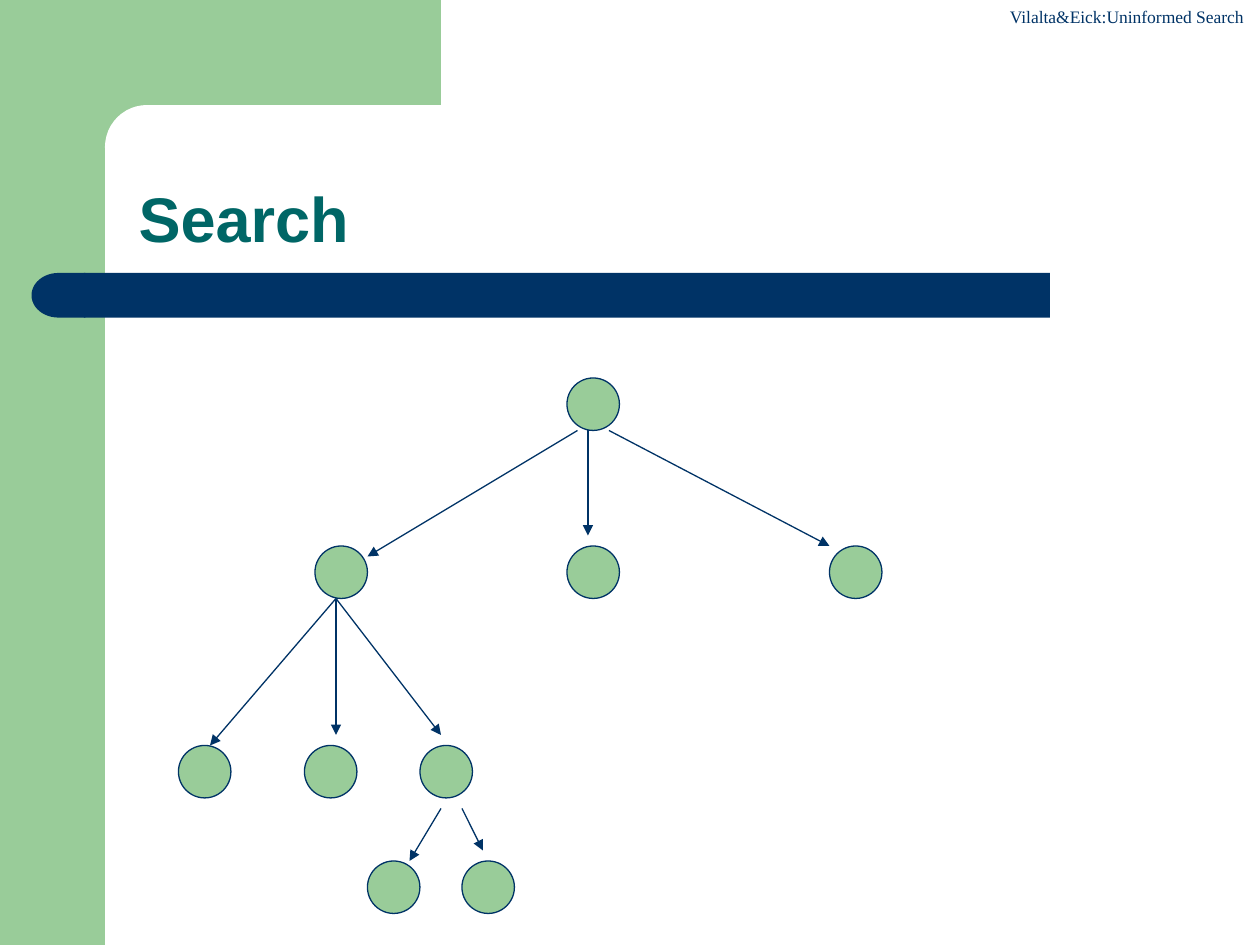
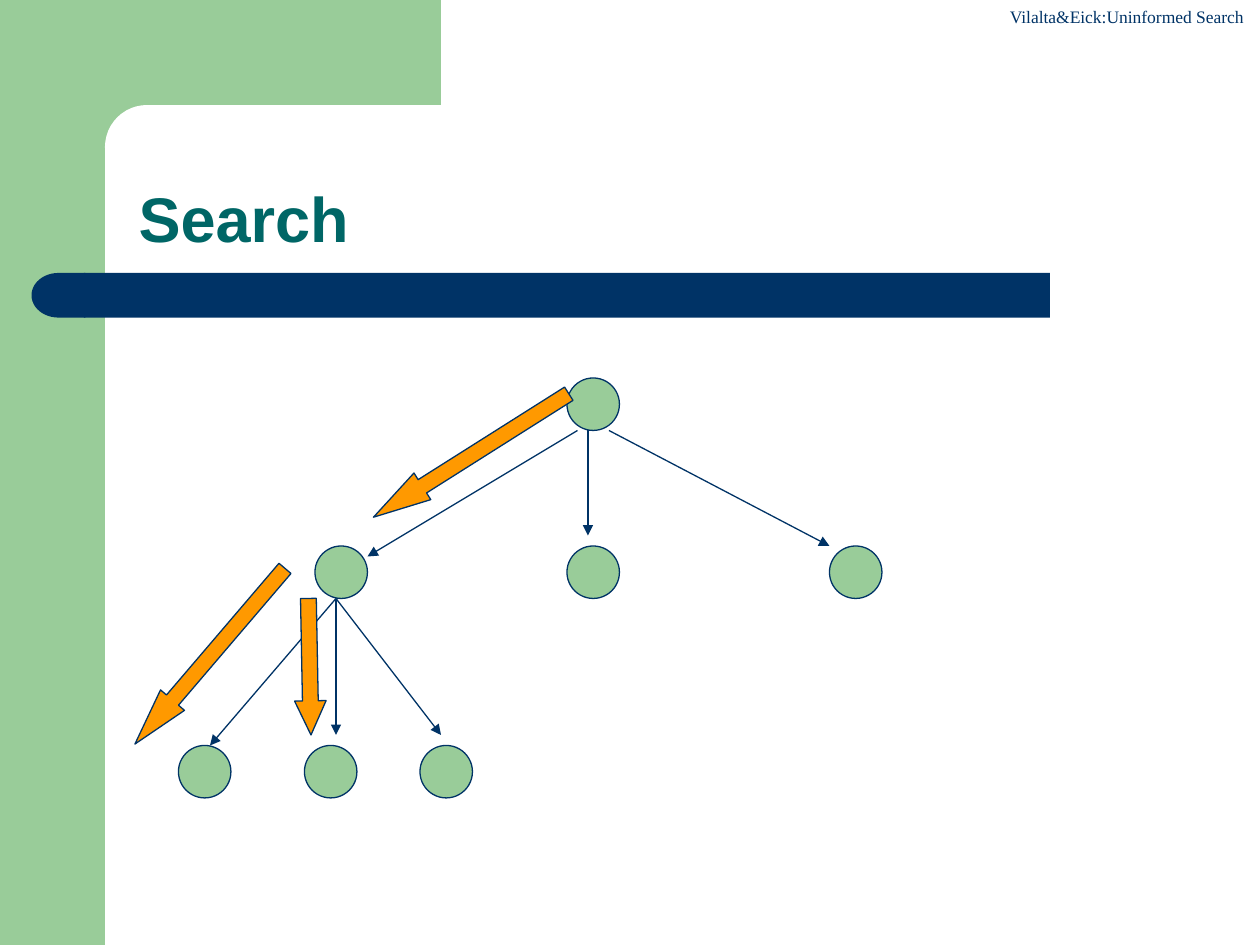
from dataclasses import dataclass
from typing import Any, NamedTuple

from lxml import etree
from pptx import Presentation
from pptx.dml.color import RGBColor
from pptx.enum.shapes import MSO_CONNECTOR, MSO_SHAPE
from pptx.enum.text import MSO_ANCHOR, MSO_AUTO_SIZE, PP_ALIGN
from pptx.oxml.ns import qn
from pptx.util import Emu, Pt

RECTANGLE = MSO_SHAPE.RECTANGLE
ROUNDED = MSO_SHAPE.ROUNDED_RECTANGLE
DELAY = MSO_SHAPE.FLOWCHART_DELAY
OVAL = MSO_SHAPE.OVAL
DOWN_ARROW = MSO_SHAPE.DOWN_ARROW
STRAIGHT = MSO_CONNECTOR.STRAIGHT
BOTTOM, LEFT, NO_FIT = MSO_ANCHOR.BOTTOM, PP_ALIGN.LEFT, MSO_AUTO_SIZE.NONE

EMU_PER_PX = 9525  # 96 px to the inch
TITLE_ONLY = 5
NODE_SIZE = 40
STEP_WIDTH = 24


@dataclass(frozen=True)
class Theme:
    green: RGBColor = RGBColor(0x99, 0xCC, 0x99)
    navy: RGBColor = RGBColor(0x00, 0x33, 0x66)
    teal: RGBColor = RGBColor(0x00, 0x66, 0x66)
    orange: RGBColor = RGBColor(0xFF, 0x99, 0x00)
    white: RGBColor = RGBColor(0xFF, 0xFF, 0xFF)
    title_font: str = "Arial"
    header_font: str = "Times New Roman"
    title_size: Pt = Pt(36)
    header_size: Pt = Pt(10)
    outline: Pt = Pt(0.75)


THEME = Theme()


class Box(NamedTuple):
    left: int
    top: int
    width: int
    height: int


class Band(NamedTuple):
    kind: MSO_SHAPE
    box: Box
    fill: RGBColor
    rounding: float | None = None
    flipped: bool = False


class Node(NamedTuple):
    left: int
    top: int


class Edge(NamedTuple):
    start: tuple[int, int]
    end: tuple[int, int]


class SearchStep(NamedTuple):
    left: int
    top: int
    length: int
    rotation: float


class Tree(NamedTuple):
    nodes: list[Node]
    edges: list[Edge]


BANDS = [
    Band(RECTANGLE, Box(0, 0, 80, 720), THEME.green),
    Band(RECTANGLE, Box(72, 0, 264, 112), THEME.green),
    Band(ROUNDED, Box(80, 80, 536, 64), THEME.white, rounding=0.5),
    Band(RECTANGLE, Box(64, 208, 736, 34), THEME.navy),
    Band(DELAY, Box(24, 208, 41, 34), THEME.navy, flipped=True),
]
HEADER_BOX = Box(760, 0, 200, 26)
TITLE_BOX = Box(96, 80, 840, 120)

UPPER_TREE = Tree(
    [Node(432, 288)]
    + [Node(left, 416) for left in (240, 432, 632)]
    + [Node(left, 568) for left in (136, 232, 320)],
    [
        Edge((440, 328), (280, 424)),
        Edge((448, 328), (448, 408)),
        Edge((464, 328), (632, 416)),
    ]
    + [Edge((256, 456), end) for end in ((160, 568), (256, 560), (336, 560))],
)
LOWEST_LEVEL = Tree(
    [Node(left, 656) for left in (280, 352)],
    [Edge((336, 616), (312, 656)), Edge((352, 616), (368, 648))],
)
SEARCH_STEPS = [
    SearchStep(347, 259, 176, 57.7),
    SearchStep(148, 412, 176, 40.5),
    SearchStep(224, 456, 104, 358.9),
]


def px(length: int) -> Emu:
    return Emu(length * EMU_PER_PX)


def apply_format(target: Any, values: dict[str, Any]) -> None:
    for name, value in values.items():
        setattr(target, name, value)


def add_filled_shape(slide: Any, kind: MSO_SHAPE, box: Box, fill: RGBColor, outlined: bool = False) -> Any:
    shape = slide.shapes.add_shape(kind, *map(px, box))
    shape.shadow.inherit = False
    shape.fill.solid()
    shape.fill.fore_color.rgb = fill
    if outlined:
        shape.line.color.rgb = THEME.navy
        shape.line.width = THEME.outline
    else:
        shape.line.fill.background()
    return shape


def add_band(slide: Any, band: Band) -> None:
    shape = add_filled_shape(slide, band.kind, band.box, band.fill)
    if band.rounding is not None:
        shape.adjustments[0] = band.rounding
    if band.flipped:
        shape._element.spPr.xfrm.set("flipH", "1")


def add_header(slide: Any) -> None:
    text_frame = slide.shapes.add_textbox(*map(px, HEADER_BOX)).text_frame
    text_frame.word_wrap = False
    run = text_frame.paragraphs[0].add_run()
    run.text = "Vilalta&Eick:Uninformed Search"
    apply_format(run.font, {"name": THEME.header_font, "size": THEME.header_size})
    run.font.color.rgb = THEME.navy


def set_title(slide: Any, text: str) -> None:
    """Fill the title placeholder and bring it in front of the bands."""
    title = slide.shapes.title
    slide.shapes._spTree.append(title._element)
    apply_format(title, {name: px(value) for name, value in TITLE_BOX._asdict().items()})
    text_frame = title.text_frame
    text_frame.text = text
    apply_format(text_frame, {"vertical_anchor": BOTTOM, "auto_size": NO_FIT, "word_wrap": True})
    paragraph = text_frame.paragraphs[0]
    apply_format(paragraph, {"alignment": LEFT, "line_spacing": 0.9})
    font = paragraph.runs[0].font
    apply_format(font, {"name": THEME.title_font, "size": THEME.title_size, "bold": True})
    font.color.rgb = THEME.teal


def add_edge(slide: Any, edge: Edge) -> None:
    connector = slide.shapes.add_connector(STRAIGHT, *map(px, edge.start + edge.end))
    connector.line.color.rgb = THEME.navy
    connector.line.width = THEME.outline
    etree.SubElement(connector.line._get_or_add_ln(), qn("a:tailEnd"), type="triangle")
    etree.SubElement(connector._element.spPr, qn("a:effectLst"))


def add_tree(slide: Any, tree: Tree) -> None:
    for node in tree.nodes:
        box = Box(node.left, node.top, NODE_SIZE, NODE_SIZE)
        add_filled_shape(slide, OVAL, box, THEME.green, outlined=True)
    for edge in tree.edges:
        add_edge(slide, edge)


def add_search_step(slide: Any, step: SearchStep) -> None:
    """Draw a block arrow whose head takes a quarter of its length."""
    box = Box(step.left, step.top, STEP_WIDTH, step.length)
    arrow = add_filled_shape(slide, DOWN_ARROW, box, THEME.orange, outlined=True)
    arrow.adjustments[0] = 0.5
    arrow.adjustments[1] = step.length / 4 / STEP_WIDTH
    arrow.rotation = step.rotation


def add_search_slide(presentation: Any, trees: list[Tree], steps: list[SearchStep]) -> None:
    slide = presentation.slides.add_slide(presentation.slide_layouts[TITLE_ONLY])
    for band in BANDS:
        add_band(slide, band)
    add_header(slide)
    set_title(slide, "Search")
    for tree in trees:
        add_tree(slide, tree)
    for step in steps:
        add_search_step(slide, step)


def main() -> None:
    presentation = Presentation()
    apply_format(presentation, {"slide_width": px(960), "slide_height": px(720)})
    add_search_slide(presentation, [UPPER_TREE, LOWEST_LEVEL], [])
    add_search_slide(presentation, [UPPER_TREE], SEARCH_STEPS)
    presentation.save("out.pptx")


if __name__ == "__main__":
    main()
